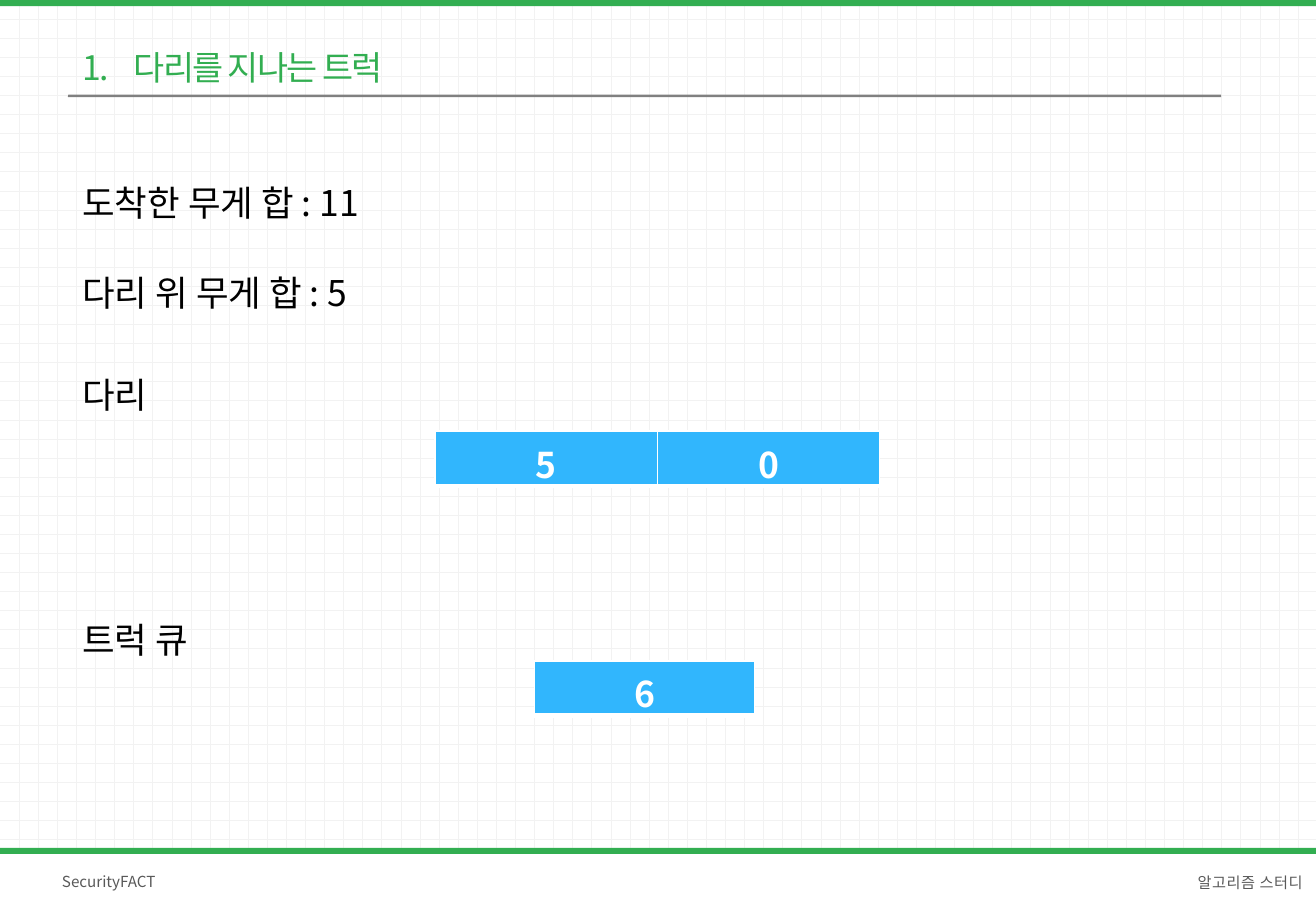
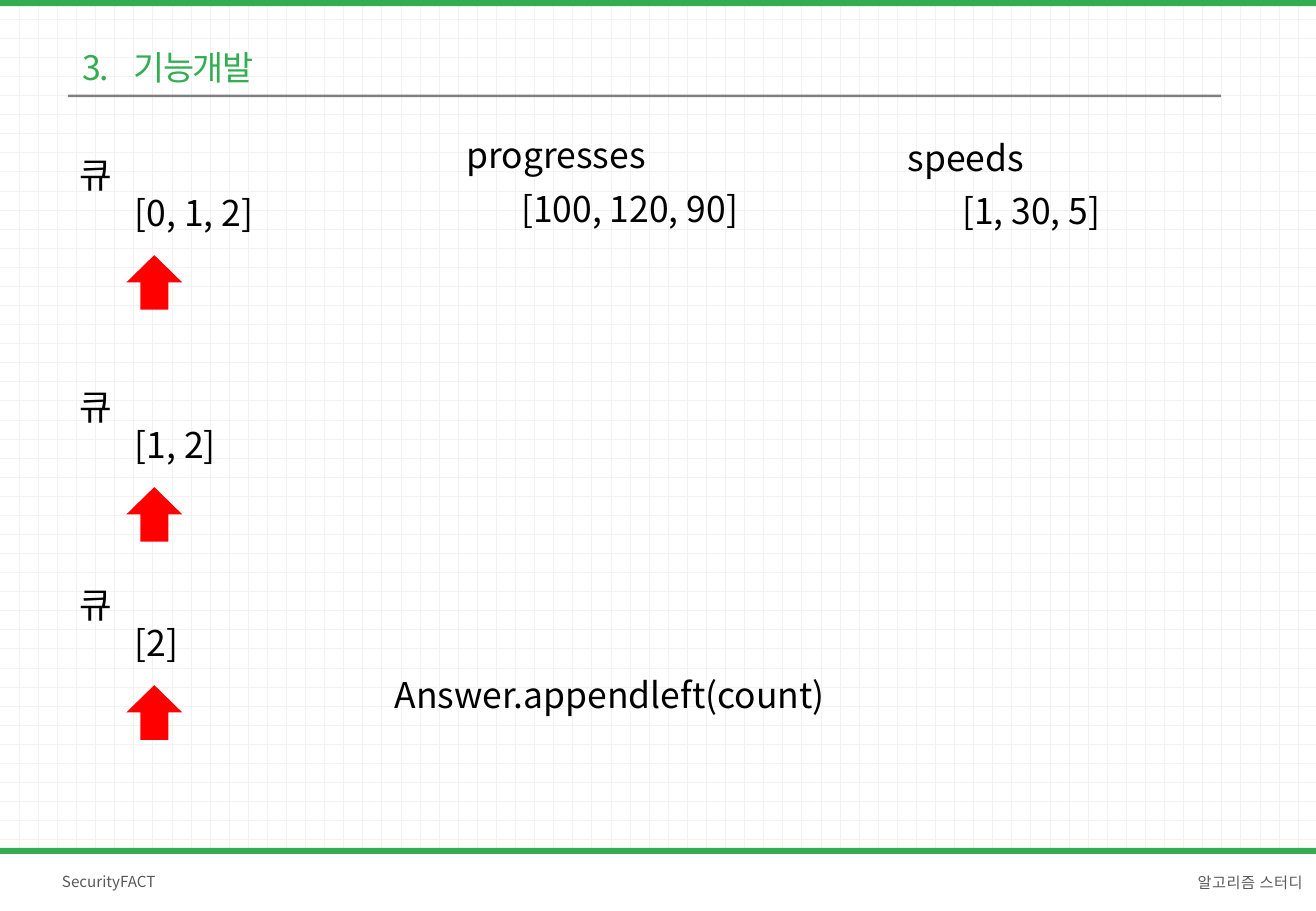
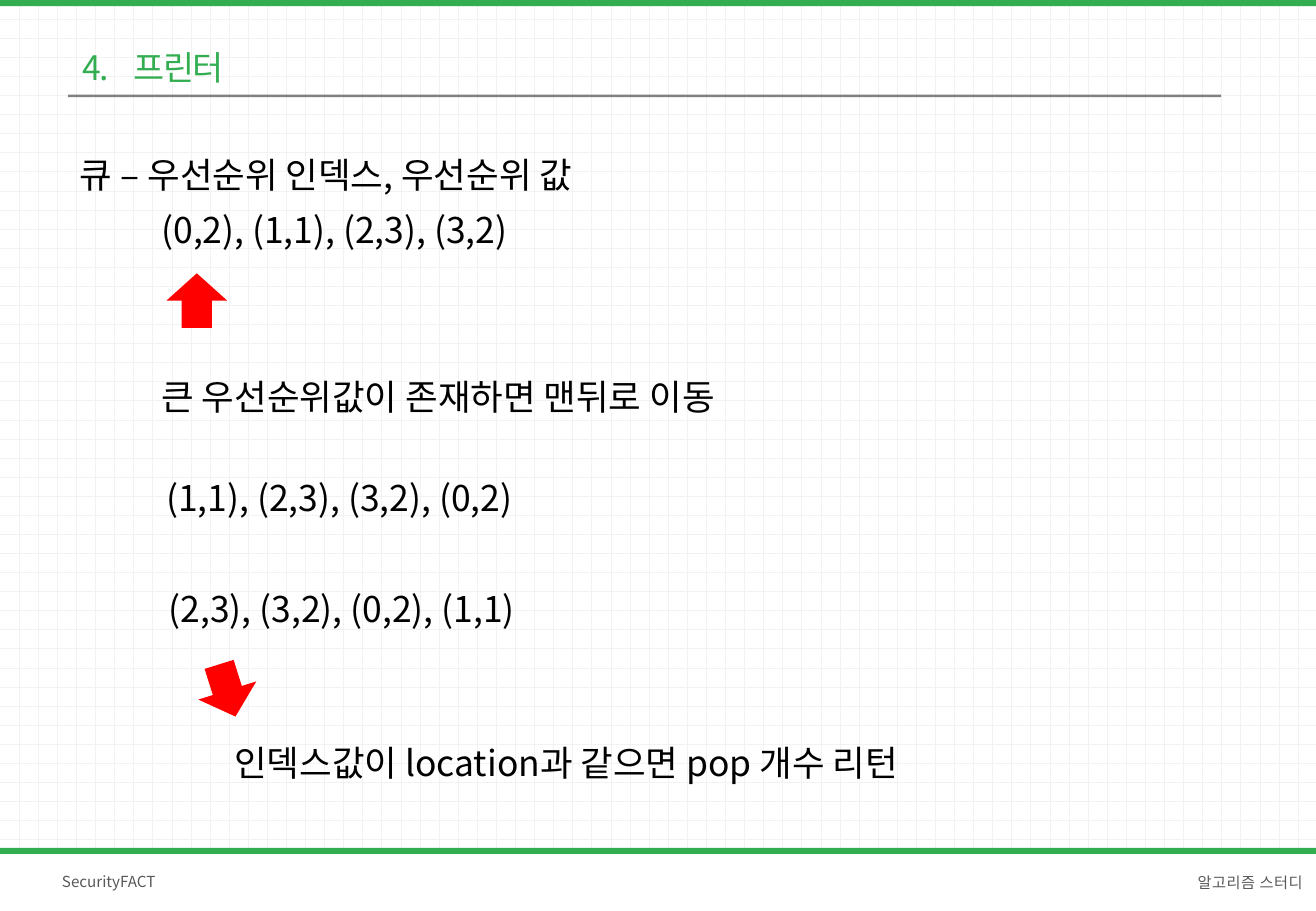
from dataclasses import dataclass

from lxml import etree
from pptx import Presentation
from pptx.dml.color import RGBColor
from pptx.enum.dml import MSO_PATTERN_TYPE as Pattern
from pptx.enum.shapes import MSO_SHAPE as Shape
from pptx.enum.text import MSO_ANCHOR as Anchor, MSO_AUTO_SIZE as AutoSize, PP_ALIGN as Align
from pptx.oxml.ns import qn
from pptx.util import Inches, Pt


@dataclass(frozen=True)
class Theme:
    font: str = "Noto Sans CJK KR"
    green: str = "32AE51"
    gray: str = "808080"
    footer: str = "595959"
    grid: str = "F2F2F2"
    white: str = "FFFFFF"
    black: str = "000000"
    blue: str = "31B6FD"
    red: str = "FF0000"
    title_size: float = 20
    body_size: float = 21
    footer_size: float = 9


THEME = Theme()
SLIDE_WIDTH, SLIDE_HEIGHT = 10.83, 7.5
FOOTER_TOP, BAND_HEIGHT = 6.98, 0.05
LINE_HEIGHT = 0.45


def color(value):
    return RGBColor.from_string(value)


def write_text(paragraph, text, size=THEME.body_size, fill=THEME.black, bold=False,
               align=Align.LEFT, line_spacing=None, tracking=None):
    paragraph.alignment = align
    if line_spacing:
        paragraph.line_spacing = line_spacing
    run = paragraph.add_run()
    run.text = text
    font = run.font
    font.name, font.size, font.bold = THEME.font, Pt(size), bold
    font.color.rgb = color(fill)
    properties = run._r.get_or_add_rPr()
    east_asian = etree.SubElement(properties, qn("a:ea"))
    east_asian.set("typeface", THEME.font)
    if tracking:
        properties.set("spc", str(round(tracking * 100)))


def set_insets(frame, left, top, right, bottom):
    frame.margin_left, frame.margin_top = Inches(left), Inches(top)
    frame.margin_right, frame.margin_bottom = Inches(right), Inches(bottom)


def add_label(slide, text, left, top, width):
    box = slide.shapes.add_textbox(Inches(left), Inches(top), Inches(width), Inches(LINE_HEIGHT))
    frame = box.text_frame
    frame.word_wrap = True
    frame.auto_size = AutoSize.SHAPE_TO_FIT_TEXT
    write_text(frame.paragraphs[0], text)


def add_footer_text(slide, text, left, top, width, height, **text_format):
    box = slide.shapes.add_textbox(Inches(left), Inches(top), Inches(width), Inches(height))
    frame = box.text_frame
    frame.word_wrap = True
    frame.vertical_anchor = Anchor.MIDDLE
    set_insets(frame, 0.12, 0.06, 0.12, 0.06)
    write_text(frame.paragraphs[0], text, size=THEME.footer_size, fill=THEME.footer, **text_format)


def add_block(slide, kind, left, top, width, height, fill, rotation=0):
    shape = slide.shapes.add_shape(kind, Inches(left), Inches(top), Inches(width), Inches(height))
    shape.shadow.inherit = False
    shape.fill.solid()
    shape.fill.fore_color.rgb = color(fill)
    shape.line.fill.background()
    shape.rotation = rotation


def add_arrow(slide, left, top, width, rotation=0):
    add_block(slide, Shape.UP_ARROW, left, top, width, LINE_HEIGHT, THEME.red, rotation)


def set_title(slide, number, text):
    title = slide.shapes.title
    title.left, title.top = Inches(0.56), Inches(-0.03)
    title.width, title.height = Inches(5.13), Inches(0.75)
    frame = title.text_frame
    frame.word_wrap = True
    frame.auto_size = AutoSize.NONE
    frame.vertical_anchor = Anchor.BOTTOM
    set_insets(frame, 0.12, 0.06, 0.12, 0)
    paragraph = frame.paragraphs[0]
    tabs = etree.SubElement(paragraph._p.get_or_add_pPr(), qn("a:tabLst"))
    tab = etree.SubElement(tabs, qn("a:tab"))
    tab.set("pos", str(Inches(0.42)))
    tab.set("algn", "l")
    write_text(paragraph, f"{number}.\t{text}", size=THEME.title_size, fill=THEME.green, tracking=-1)


def add_slide(presentation, number, title):
    slide = presentation.slides.add_slide(presentation.slide_layouts[5])
    set_title(slide, number, title)
    add_block(slide, Shape.RECTANGLE, 0, 0, SLIDE_WIDTH, BAND_HEIGHT, THEME.green)
    add_block(slide, Shape.ROUNDED_RECTANGLE, 0.56, 0.78, 9.49, 0.02, THEME.gray)
    add_block(slide, Shape.RECTANGLE, 0, FOOTER_TOP, SLIDE_WIDTH, SLIDE_HEIGHT - FOOTER_TOP, THEME.white)
    add_block(slide, Shape.RECTANGLE, 0, FOOTER_TOP, SLIDE_WIDTH, BAND_HEIGHT, THEME.green)
    add_footer_text(slide, "SecurityFACT", 0.39, 7.02, 1.97, 0.47)
    add_footer_text(slide, "알고리즘 스터디", 8.38, 7.06, 2.46, 0.37,
                    align=Align.RIGHT, line_spacing=1.3, tracking=0.3)
    return slide


def set_borders(cell):
    properties = cell._tc.get_or_add_tcPr()
    for index, (side, width) in enumerate((("L", 1), ("R", 1), ("T", 1), ("B", 3))):
        line = etree.Element(qn(f"a:ln{side}"))
        line.set("w", str(Pt(width)))
        fill = etree.SubElement(line, qn("a:solidFill"))
        etree.SubElement(fill, qn("a:srgbClr")).set("val", THEME.white)
        properties.insert(index, line)


def add_cell_row(slide, values, left, top, cell_width):
    table = slide.shapes.add_table(1, len(values), Inches(left), Inches(top),
                                   Inches(cell_width * len(values)), Inches(LINE_HEIGHT)).table
    table.first_row = table.horz_banding = False
    for cell, value in zip(table.rows[0].cells, values):
        cell.margin_bottom = 0
        cell.fill.solid()
        cell.fill.fore_color.rgb = color(THEME.blue)
        set_borders(cell)
        write_text(cell.text_frame.paragraphs[0], value, fill=THEME.white, bold=True, align=Align.CENTER)


def build_truck_slide(presentation):
    slide = add_slide(presentation, 1, "다리를 지나는 트럭")
    for text, top, width in (
        ("도착한 무게 합 : 11", 1.44, 3.1),
        ("다리 위 무게 합 : 5", 2.18, 3.34),
        ("다리", 3.02, 1.26),
        ("트럭 큐", 5.04, 1.26),
    ):
        add_label(slide, text, 0.58, top, width)
    add_cell_row(slide, ("5", "0"), 3.58, 3.55, 1.83)
    add_cell_row(slide, ("6",), 4.4, 5.44, 1.81)


def build_feature_slide(presentation):
    slide = add_slide(presentation, 3, "기능개발")
    for queue, top in (("[0, 1, 2]", 1.21), ("[1, 2]", 3.12), ("[2]", 4.75)):
        add_label(slide, "큐", 0.56, top, 0.62)
        add_label(slide, queue, 1.01, top + 0.31, 2.26)
        add_arrow(slide, 1.04, top + 0.89, 0.46)
    for name, values, left, top in (
        ("progresses", "[100, 120, 90]", 3.74, 1.05),
        ("speeds", "[1, 30, 5]", 7.37, 1.07),
    ):
        add_label(slide, name, left, top, 2.02)
        add_label(slide, values, left + 0.45, top + 0.44, 2.26)
    add_label(slide, "Answer.appendleft(count)", 3.15, 5.49, 3.94)


def build_printer_slide(presentation):
    slide = add_slide(presentation, 4, "프린터")
    for text, left, top, width in (
        ("큐 – 우선순위 인덱스, 우선순위 값", 0.56, 1.21, 5.8),
        ("(0,2), (1,1), (2,3), (3,2)", 1.23, 1.66, 3.72),
        ("큰 우선순위값이 존재하면 맨뒤로 이동", 1.23, 3.04, 5.8),
        ("(1,1), (2,3), (3,2), (0,2)", 1.27, 3.87, 3.72),
        ("(2,3), (3,2), (0,2), (1,1)", 1.29, 4.78, 3.72),
        ("인덱스값이 location과 같으면 pop 개수 리턴", 1.83, 6.05, 6.55),
    ):
        add_label(slide, text, left, top, width)
    add_arrow(slide, 1.37, 2.25, 0.5)
    add_arrow(slide, 1.62, 5.46, 0.5, rotation=162.6)


def set_background(presentation):
    fill = presentation.slide_master.background.fill
    fill.patterned()
    fill.pattern = Pattern.DOTTED_GRID
    fill.fore_color.rgb = color(THEME.grid)
    fill.back_color.rgb = color(THEME.white)


def main():
    presentation = Presentation()
    presentation.slide_width = Inches(SLIDE_WIDTH)
    presentation.slide_height = Inches(SLIDE_HEIGHT)
    set_background(presentation)
    build_truck_slide(presentation)
    build_feature_slide(presentation)
    build_printer_slide(presentation)
    presentation.save("out.pptx")


if __name__ == "__main__":
    main()
